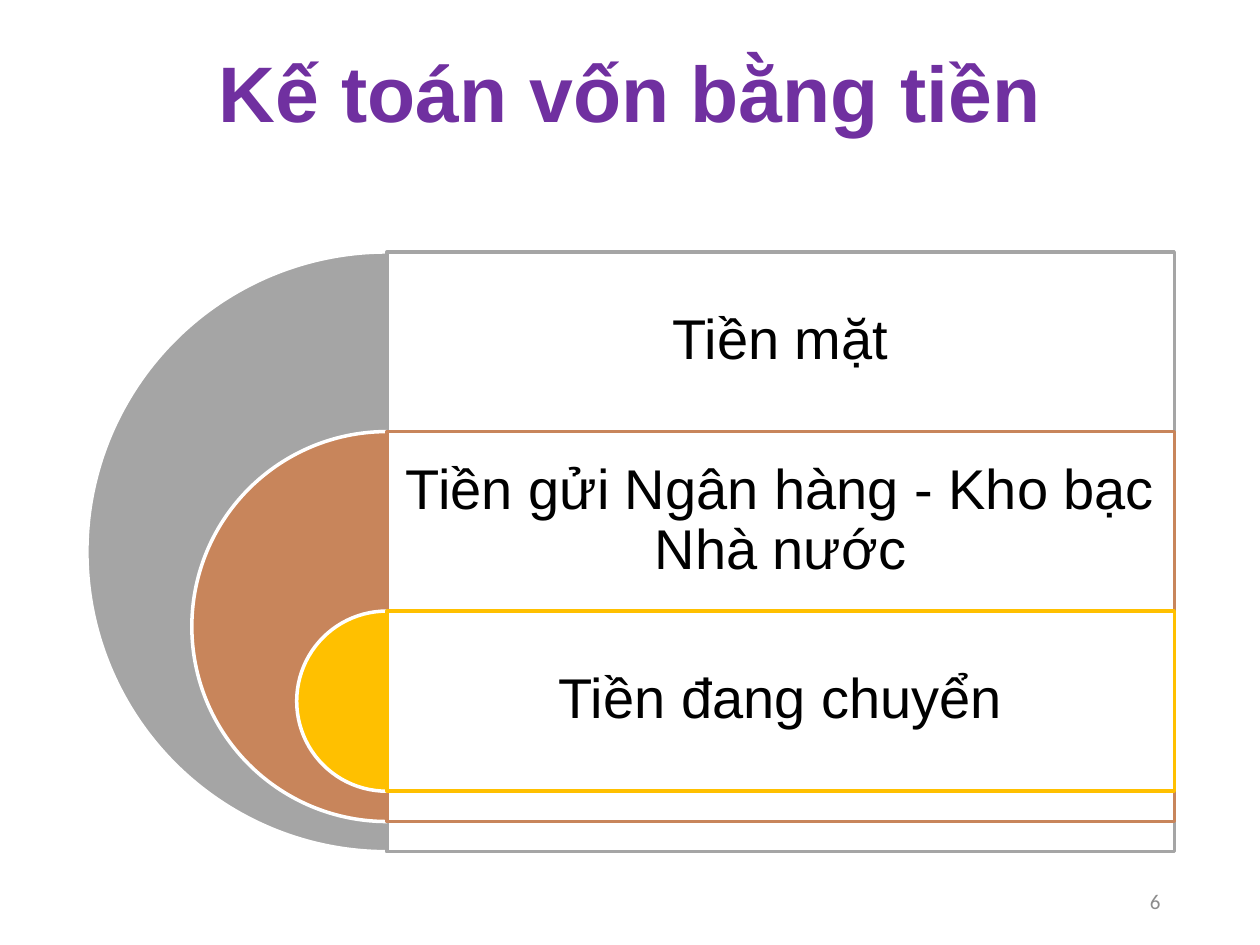
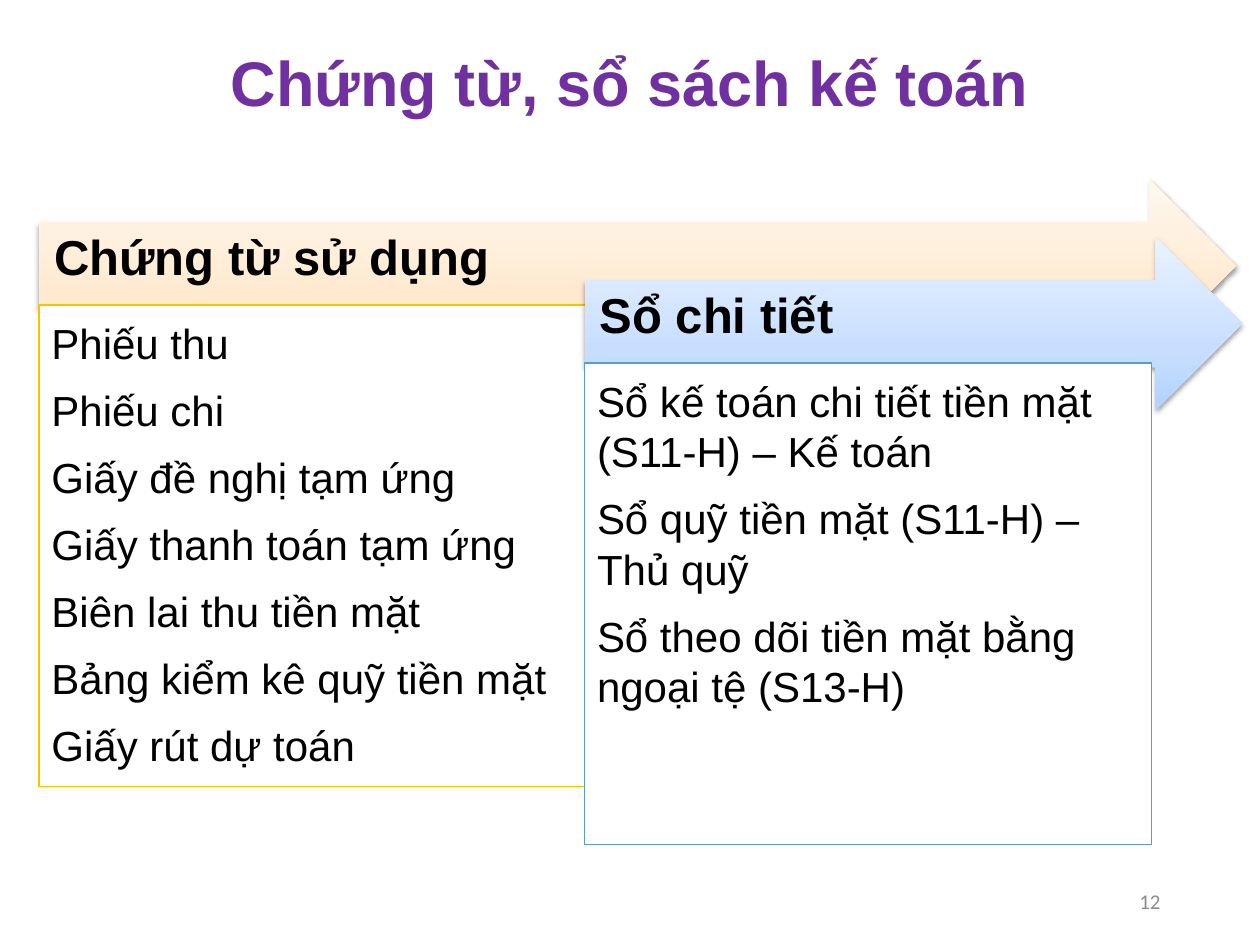
from copy import deepcopy

from lxml import etree
from pptx import Presentation
from pptx.dml.color import RGBColor
from pptx.enum import shapes, text
from pptx.oxml import ns
from pptx.util import Inches, Pt

PURPLE = RGBColor(0x70, 0x30, 0xA0)
GRAY = RGBColor(0xA5, 0xA5, 0xA5)
BROWN = RGBColor(0xC8, 0x85, 0x5B)
GOLD = RGBColor(0xFF, 0xC0, 0x00)
BLUE = RGBColor(0x5B, 0x9B, 0xD5)
WHITE = RGBColor(0xFF, 0xFF, 0xFF)
BLACK = RGBColor(0x00, 0x00, 0x00)
NUMBER_GRAY = RGBColor(0x8C, 0x8C, 0x8C)
PEACH_STOPS = [(0, "FFE2BD"), (0.35, "FFEAD1"), (1, "FFF7EE")]
SKY_STOPS = [(0, "B0D2FF"), (0.35, "C7DEFF"), (1, "EAF2FF")]

LEFT, MIDDLE, TOP = text.PP_ALIGN.LEFT, text.MSO_ANCHOR.MIDDLE, text.MSO_ANCHOR.TOP
CENTER, RIGHT = text.PP_ALIGN.CENTER, text.PP_ALIGN.RIGHT
BOTTOM = text.MSO_ANCHOR.BOTTOM

MONEY_TYPES = [
    ("Tiền mặt", GRAY),
    ("Tiền gửi Ngân hàng - Kho bạc Nhà nước", BROWN),
    ("Tiền đang chuyển", GOLD),
]
LAYER_LEFT, LAYER_TOP, LAYER_WIDTH = 3.07, 2, 6.25
LAYER_STEP = 1.425
DISC_SIZE, DISC_SHRINK = 4.76, 1.665

RECORD_GROUPS = [
    {
        "heading": "Chứng từ sử dụng", "left": 0.31, "top": 1.42,
        "arrow_width": 9.5, "list_width": 4.39, "stops": PEACH_STOPS, "border": GOLD,
        "items": ["Phiếu thu", "Phiếu chi", "Giấy đề nghị tạm ứng",
                  "Giấy thanh toán tạm ứng", "Biên lai thu tiền mặt",
                  "Bảng kiểm kê quỹ tiền mặt", "Giấy rút dự toán"],
    },
    {
        "heading": "Sổ chi tiết", "left": 4.64, "top": 1.88,
        "arrow_width": 5.22, "list_width": 4.5, "stops": SKY_STOPS, "border": BLUE,
        "items": ["Sổ kế toán chi tiết tiền mặt (S11-H) – Kế toán",
                  "Sổ quỹ tiền mặt (S11-H) – Thủ quỹ",
                  "Sổ theo dõi tiền mặt bằng ngoại tệ (S13-H)"],
    },
]
ARROW_HEIGHT, LIST_DROP, LIST_HEIGHT = 1.38, 1, 3.82


def write(shape, lines, size, color=BLACK, bold=False, font="Arial", align=LEFT,
          anchor=MIDDLE, insets=(0.1, 0.05, 0.1, 0.05), spacing=0.9, after=0):
    """Fill a shape with paragraphs; insets run left, top, right, bottom."""
    frame = shape.text_frame
    frame.word_wrap = True
    frame.auto_size = text.MSO_AUTO_SIZE.NONE
    frame.vertical_anchor = anchor
    (frame.margin_left, frame.margin_top,
     frame.margin_right, frame.margin_bottom) = map(Inches, insets)
    frame.text = "\n".join(lines)
    for para in frame.paragraphs:
        para.alignment = align
        para.line_spacing = spacing
        para.space_after = Pt(after)
        para.font.name, para.font.size = font, Pt(size)
        para.font.bold, para.font.color.rgb = bold, color


def add_shape(page, kind, left, top, width, height, fill=None, line=None, weight=2):
    shape = page.shapes.add_shape(kind, *map(Inches, (left, top, width, height)))
    shape.shadow.inherit = False
    if fill is not None:
        shape.fill.solid()
        shape.fill.fore_color.rgb = fill
    if line is None:
        shape.line.fill.background()
    else:
        shape.line.color.rgb = line
        shape.line.width = Pt(weight)
    return shape


def add_page(deck, title, number, size, top, height, anchor):
    page = deck.slides.add_slide(deck.slide_layouts.get_by_name("Title Only"))
    heading = page.shapes.title
    heading.left, heading.top, heading.width, heading.height = map(
        Inches, (0.69, top, 8.62, height))
    write(heading, [title], size, PURPLE, True, align=CENTER, anchor=anchor)
    box = page.shapes.add_textbox(*map(Inches, (7.06, 6.95, 2.25, 0.4)))
    write(box, [number], 12, NUMBER_GRAY, font="Calibri", align=RIGHT, spacing=1)
    return page


def set_opacity(shape, percent):
    color = shape.fill._xPr.find(ns.qn("a:solidFill"))[0]
    etree.SubElement(color, ns.qn("a:alpha"), val=str(percent * 1000))


def set_gradient(shape, stops):
    """Blend the stops from the bottom edge to the top edge."""
    shape.fill.gradient()
    shape.fill.gradient_angle = 90
    stop_list = shape._element.spPr.find(".//" + ns.qn("a:gsLst"))
    stop_list.append(deepcopy(stop_list[0]))
    for stop, (position, color) in zip(shape.fill.gradient_stops, stops):
        stop.position = position
        stop.color.rgb = RGBColor.from_string(color)


def add_soft_shadow(shape):
    effects = shape._element.spPr.find(ns.qn("a:effectLst"))
    shadow = etree.SubElement(effects, ns.qn("a:outerShdw"), blurRad=str(Pt(3.1)),
                              dist=str(Pt(1.6)), dir="5400000", rotWithShape="0")
    color = etree.SubElement(shadow, ns.qn("a:srgbClr"), val="000000")
    etree.SubElement(color, ns.qn("a:alpha"), val="38000")


def add_money_layer(page, index, label, color):
    size = DISC_SIZE - index * DISC_SHRINK
    top = LAYER_TOP + index * LAYER_STEP
    disc = add_shape(page, shapes.MSO_SHAPE.PIE, LAYER_LEFT - size / 2, top,
                     size, size, color, WHITE)
    disc.adjustments[0], disc.adjustments[1] = 54, 162
    panel = add_shape(page, shapes.MSO_SHAPE.RECTANGLE, LAYER_LEFT, top,
                      LAYER_WIDTH, size, WHITE, color)
    set_opacity(panel, 90)
    below_label = size - LAYER_STEP
    write(panel, [label], 32, align=CENTER, insets=(0.13, 0.13, 0.13, 0.13 + below_label))


def add_record_group(page, group):
    left, top = group["left"], group["top"]
    arrow = add_shape(page, shapes.MSO_SHAPE.RIGHT_ARROW, left, top,
                      group["arrow_width"], ARROW_HEIGHT)
    set_gradient(arrow, group["stops"])
    add_soft_shadow(arrow)
    write(arrow, [group["heading"]], 28, bold=True, insets=(0.12, 0.12, 0.28, 0.22))
    panel = add_shape(page, shapes.MSO_SHAPE.RECTANGLE, left, top + LIST_DROP,
                      group["list_width"], LIST_HEIGHT, WHITE, group["border"], 0.75)
    write(panel, group["items"], 24, anchor=TOP, insets=(0.1,) * 4, spacing=1, after=9.5)


def main():
    deck = Presentation()
    deck.slide_width, deck.slide_height = Inches(10), Inches(7.5)

    page = add_page(deck, "Kế toán vốn bằng tiền", "6", 45, 0.15, 1.24, MIDDLE)
    for index, (label, color) in enumerate(MONEY_TYPES):
        add_money_layer(page, index, label, color)

    page = add_page(deck, "Chứng từ, sổ sách kế toán", "12", 36, 0.25, 0.75, BOTTOM)
    for group in RECORD_GROUPS:
        add_record_group(page, group)

    deck.save("out.pptx")


if __name__ == "__main__":
    main()
